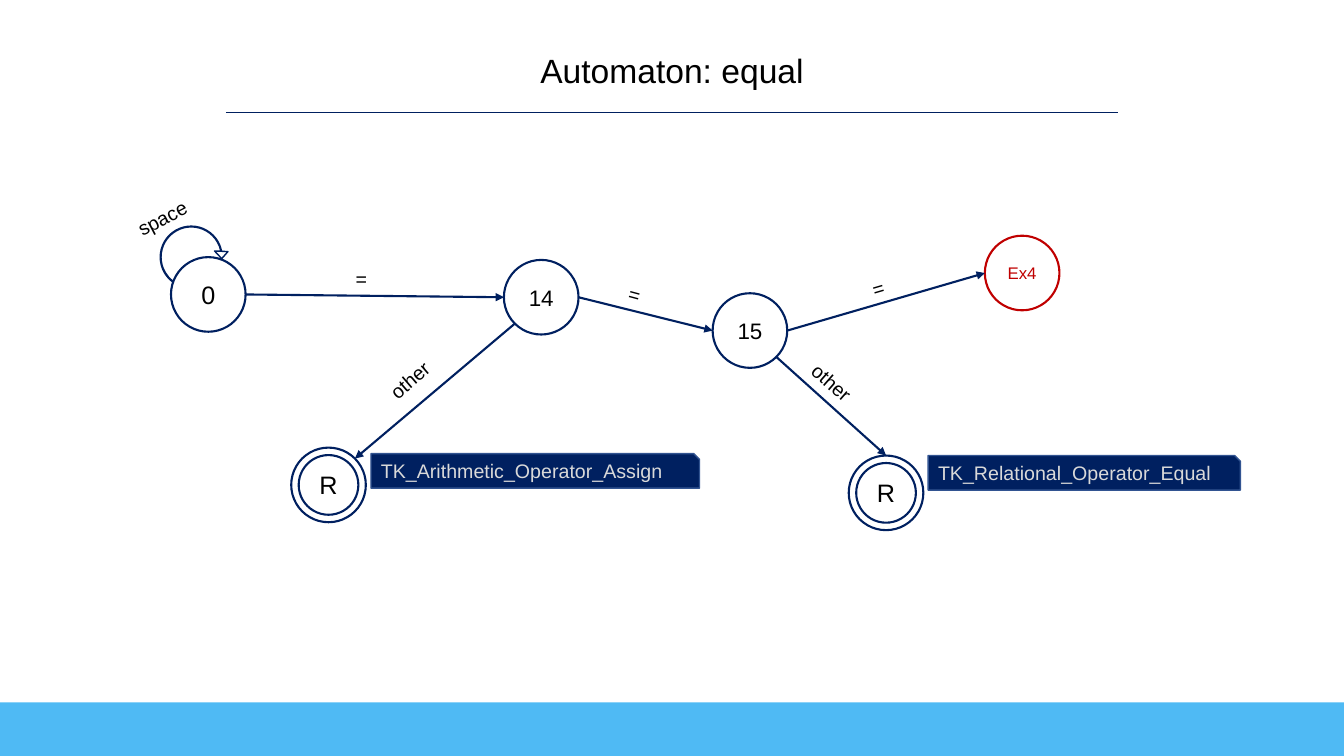
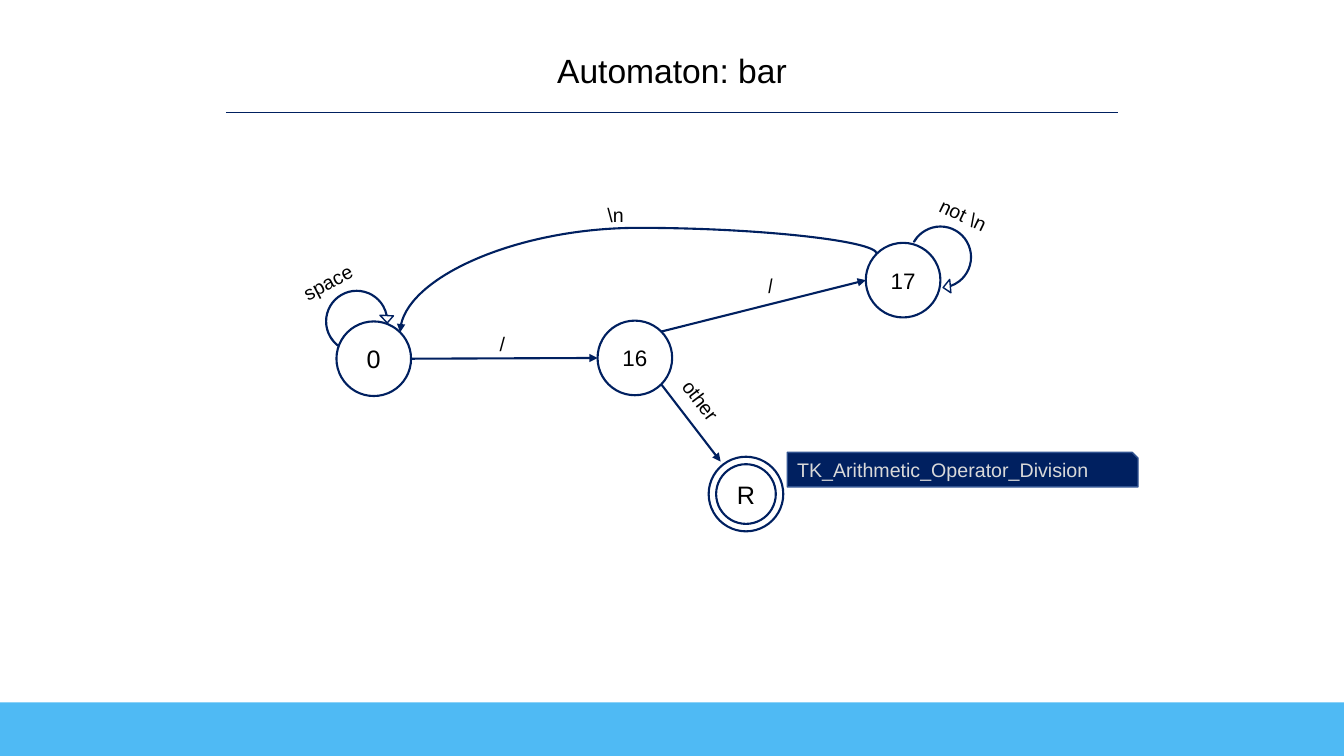
from math import cos, radians, sin

from lxml import etree
from pptx import Presentation
from pptx.dml.color import RGBColor
from pptx.enum.shapes import MSO_CONNECTOR, MSO_SHAPE
from pptx.enum.text import MSO_ANCHOR, PP_ALIGN
from pptx.oxml.ns import qn
from pptx.util import Cm, Pt

RING = MSO_SHAPE.FLOWCHART_CONNECTOR
DONUT = MSO_SHAPE.DONUT
LOOP = MSO_SHAPE.CIRCULAR_ARROW
SNIP = MSO_SHAPE.SNIP_1_RECTANGLE
RECT = MSO_SHAPE.RECTANGLE
LINE = MSO_CONNECTOR.STRAIGHT
CURVE = MSO_CONNECTOR.CURVE
LEFT, CENTER = PP_ALIGN.LEFT, PP_ALIGN.CENTER
TOP, MIDDLE = MSO_ANCHOR.TOP, MSO_ANCHOR.MIDDLE

FONT = "Arial"
NAVY, SKY, RED, BLACK = "002060", "4FBAF4", "C00000", "000000"
EDGE, PALE = "325491", "D9D9D9"
WIDE, HIGH = 33.87, 19.05
SIZE = 1.88
ROW = 0.87
EAST, SOUTHEAST, SOUTHWEST, WEST = 0, 45, 135, 180
NORTHWEST, NORTH, NORTHEAST = 225, 270, 315


def color(code):
    return RGBColor.from_string(code)


def write(shape, text, size, tint, align=LEFT, anchor=TOP, wrap=True):
    frame = shape.text_frame
    frame.text = text
    frame.word_wrap = wrap
    frame.vertical_anchor = anchor
    line = frame.paragraphs[0]
    line.alignment = align
    for run in line.runs:
        run.font.name = FONT
        run.font.size = Pt(size)
        run.font.color.rgb = color(tint)


def box(slide, kind, x, y, w, h, fill=None, edge=None, weight=1):
    shape = slide.shapes.add_shape(kind, Cm(x), Cm(y), Cm(w), Cm(h))
    shape.shadow.inherit = False
    if fill:
        shape.fill.solid()
        shape.fill.fore_color.rgb = color(fill)
    else:
        shape.fill.background()
    if edge:
        shape.line.color.rgb = color(edge)
        shape.line.width = Pt(weight)
    else:
        shape.line.fill.background()
    return shape


def label(slide, text, x, y, w, turn=0):
    shape = slide.shapes.add_textbox(Cm(x), Cm(y), Cm(w), Cm(ROW))
    shape.rotation = turn
    write(shape, text, 14, BLACK)


def tag(slide, text, x, y, w):
    shape = box(slide, SNIP, x, y, w, ROW, NAVY, EDGE)
    write(shape, text, 14, PALE, wrap=False)
    shape.text_frame.margin_top = Cm(0.06)


def node(slide, text, x, y, size=16, tint=NAVY, ink=BLACK):
    shape = box(slide, RING, x, y, SIZE, SIZE, edge=tint, weight=1.5)
    write(shape, text, size, ink, CENTER, MIDDLE)
    return x, y


def final(slide, x, y):
    shape = box(slide, DONUT, x, y, SIZE, SIZE, edge=NAVY, weight=1.5)
    shape.adjustments[0] = 0.1
    write(shape, "R", 18, BLACK, CENTER, MIDDLE)
    return x, y


def loop(slide, x, y, turn=0):
    shape = box(slide, LOOP, x, y, SIZE, SIZE, edge=NAVY)
    shape.rotation = turn
    for i, value in enumerate((0.01, 8.28, 209.42, 76.68, 0.09)):
        shape.adjustments[i] = value


def origin(slide, x, y):
    loop(slide, x - 0.43, y - 0.94)
    label(slide, "space", x - 1.14, y - 1.47, 2.06, 332.3)
    return node(slide, "0", x, y, 18)


def rim(spot, angle):
    turn, half = radians(angle), SIZE / 2
    return spot[0] + half + half * cos(turn), spot[1] + half + half * sin(turn)


def link(slide, start, end, kind=LINE, weight=1.5, head=True):
    ends = [Cm(v) for v in (*start, *end)]
    line = slide.shapes.add_connector(kind, *ends)
    line.line.color.rgb = color(NAVY)
    line.line.width = Pt(weight)
    props = line._element.spPr
    if head:
        etree.SubElement(props.find(qn("a:ln")), qn("a:tailEnd"), type="triangle")
    etree.SubElement(props, qn("a:effectLst"))
    return props


def bend(slide, start, end, bulge):
    midx, midy = (start[0] + end[0]) / 2, (start[1] + end[1]) / 2
    dx, dy = abs(end[1] - start[1]) / 2, abs(end[0] - start[0]) / 2
    props = link(slide, (midx + dx, midy + dy), (midx - dx, midy - dy), CURVE)
    props.find(qn("a:xfrm")).set("rot", str(270 * 60000))
    shape = props.find(qn("a:prstGeom"))
    guides = shape.find(qn("a:avLst"))
    if guides is None:
        guides = etree.SubElement(shape, qn("a:avLst"))
    rule = f"val {round(bulge * 100000)}"
    etree.SubElement(guides, qn("a:gd"), name="adj1", fmla=rule)


def page(deck, title, w):
    slide = deck.slides.add_slide(deck.slide_layouts[6])
    shape = slide.shapes.add_textbox(Cm((WIDE - w) / 2), Cm(1.14), Cm(w), Cm(1.28))
    write(shape, title, 24, BLACK, CENTER, wrap=False)
    link(slide, (5.69, 2.84), (28.17, 2.84), weight=0.5, head=False)
    box(slide, RECT, 0, 17.7, WIDE, HIGH - 17.7, SKY)
    return slide


def equal(deck):
    slide = page(deck, "Automaton: equal", 8.26)
    tag(slide, "TK_Relational_Operator_Equal", 23.39, 11.48, 7.87)
    tag(slide, "TK_Arithmetic_Operator_Assign", 9.35, 11.43, 8.28)
    zero = origin(slide, 4.31, 6.48)
    first = node(slide, "14", 12.7, 6.55)
    second = node(slide, "15", 17.96, 7.39)
    error = node(slide, "Ex4", 24.82, 5.94, 12, RED, RED)
    assign = final(slide, 7.34, 11.28)
    same = final(slide, 21.39, 11.48)
    for tail, out, tip, into in (
        (zero, EAST, first, WEST),
        (first, EAST, second, WEST),
        (second, EAST, error, WEST),
        (first, SOUTHWEST, assign, NORTHEAST),
        (second, SOUTHEAST, same, NORTH),
    ):
        link(slide, rim(tail, out), rim(tip, into))
    label(slide, "=", 8.71, 6.6, 0.81)
    label(slide, "=", 15.6, 6.99, 0.81, 15)
    label(slide, "=", 21.74, 6.83, 0.81, 343.6)
    label(slide, "other", 9.47, 9.02, 2.03, 319.3)
    label(slide, "other", 20.09, 9.35, 2.03, 41.2)


def bar(deck):
    slide = page(deck, "Automaton: bar", 7.32)
    tag(slide, "TK_Arithmetic_Operator_Division", 19.84, 11.4, 8.84)
    zero = origin(slide, 8.48, 8.1)
    slash = node(slide, "16", 15.06, 8.08)
    note = node(slide, "17", 21.82, 6.12)
    final(slide, 17.86, 11.51)
    loop(slide, 22.76, 5.54, 82.2)
    link(slide, rim(zero, EAST), rim(slash, WEST))
    link(slide, rim(slash, NORTHEAST), rim(note, WEST))
    link(slide, rim(slash, SOUTHEAST), (18.16, 11.63))
    bend(slide, rim(note, NORTHWEST), rim(zero, NORTHEAST), -0.33)
    label(slide, "/", 12.34, 8.23, 0.76)
    label(slide, "/", 19.1, 6.78, 0.76, 355.2)
    label(slide, "other", 16.74, 9.86, 2.13, 52.9)
    label(slide, "\\n", 15.06, 5, 1.17)
    label(slide, "not \\n", 23.37, 5.13, 2.39, 25.7)


def main():
    deck = Presentation()
    deck.slide_width, deck.slide_height = Cm(WIDE), Cm(HIGH)
    equal(deck)
    bar(deck)
    deck.save("out.pptx")


main()
